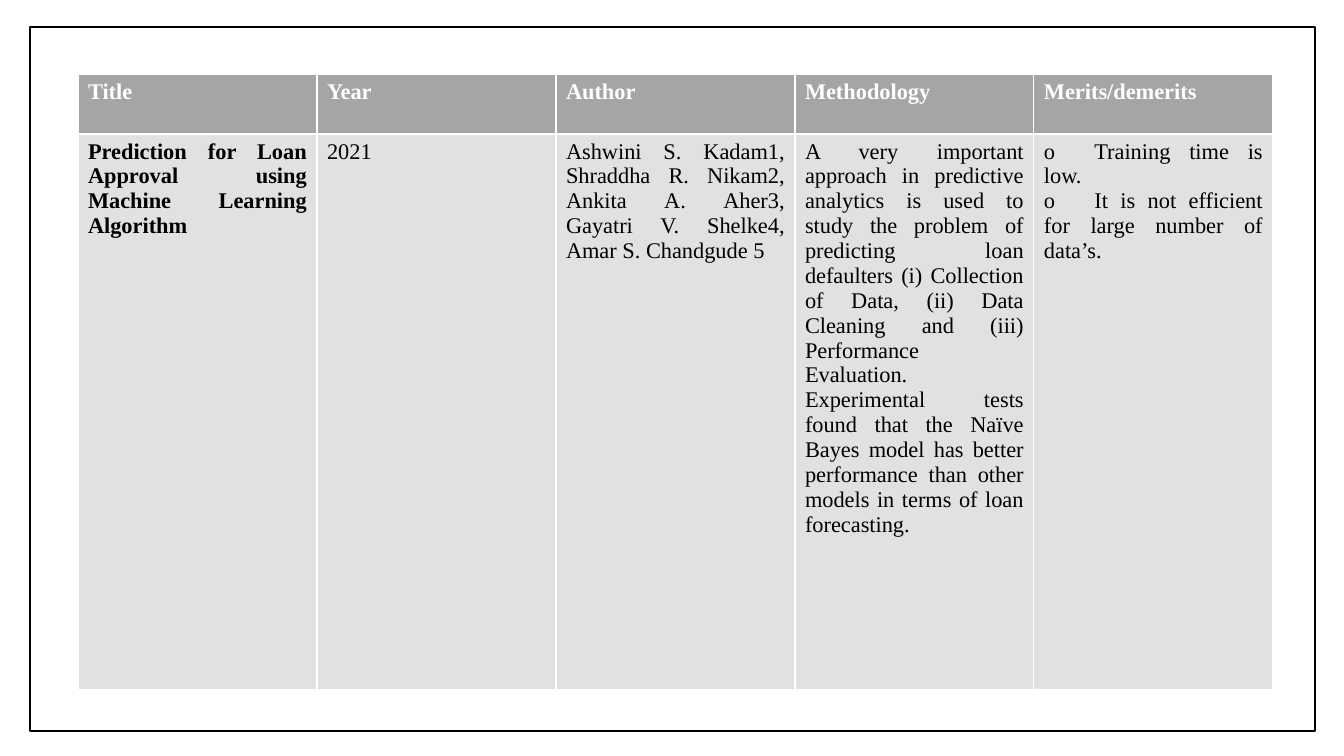
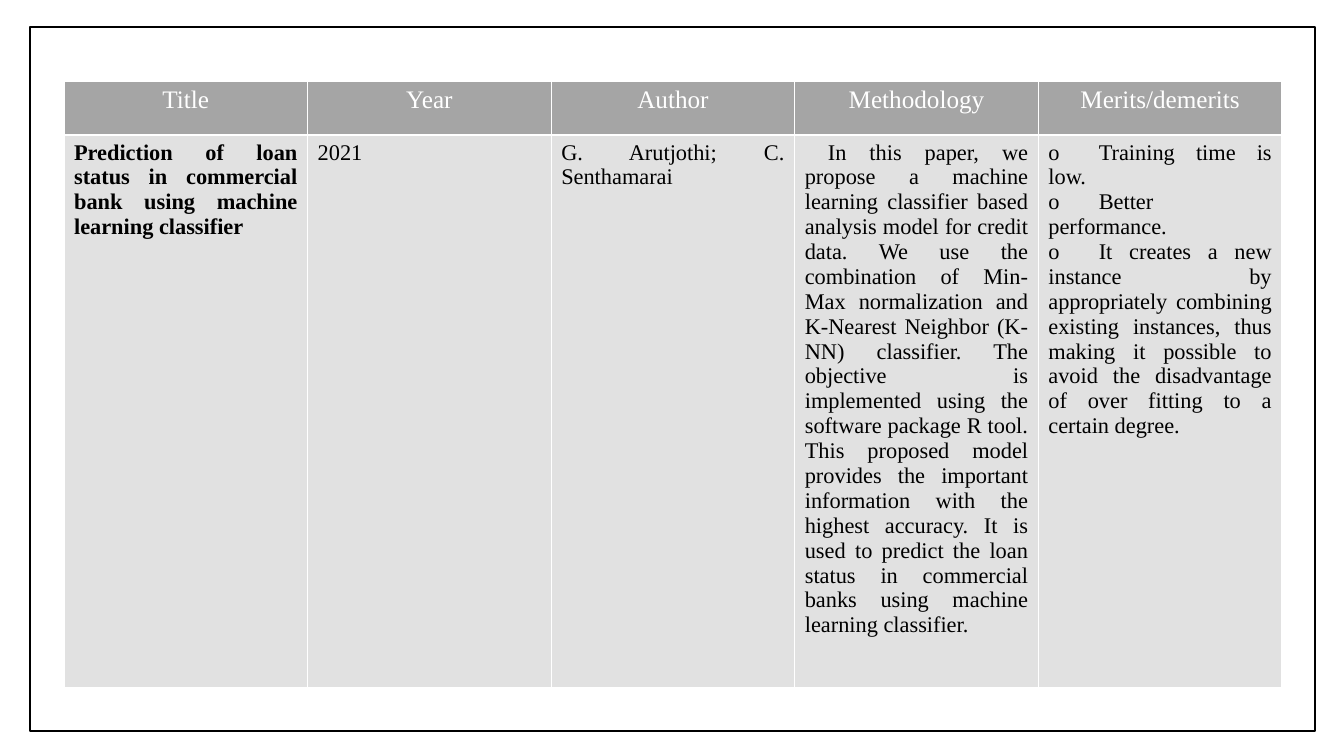
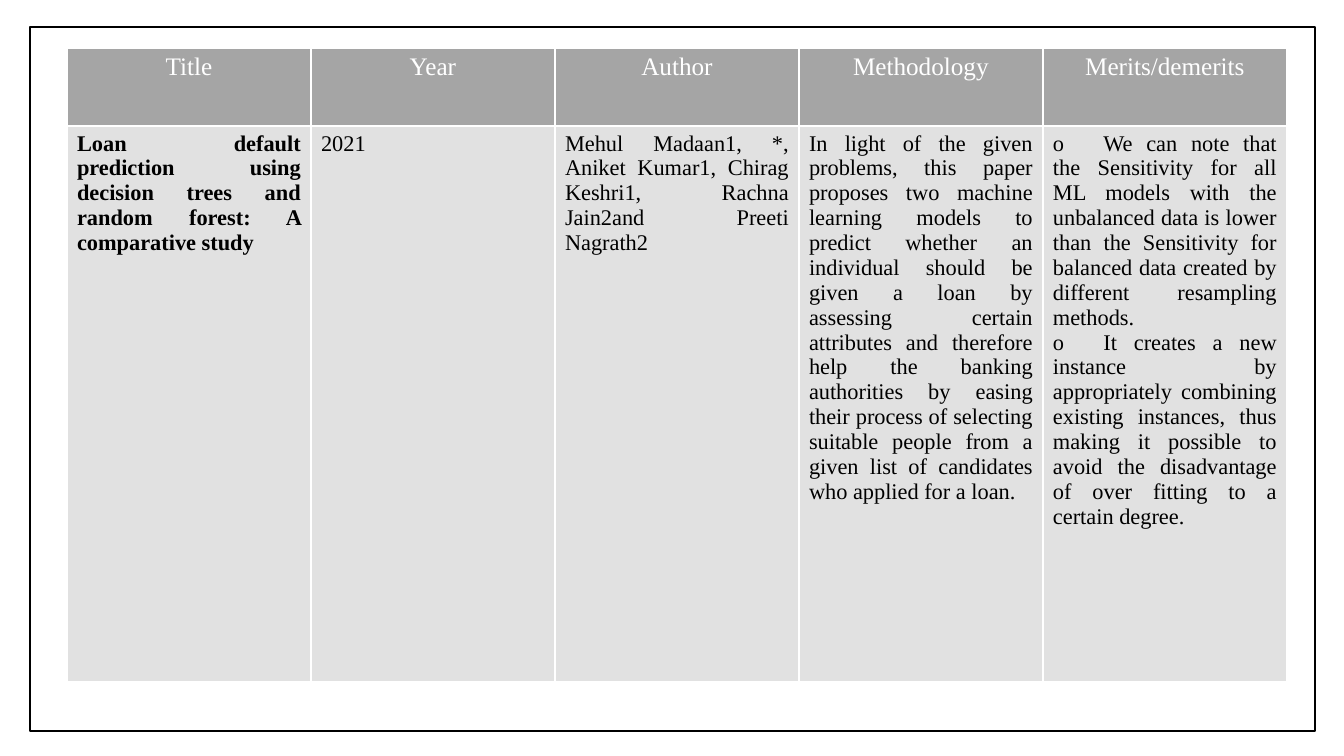
from lxml import etree
from pptx import Presentation
from pptx import util as u
from pptx.dml.color import RGBColor
from pptx.enum import shapes, text
from pptx.oxml.ns import qn

SCALE = 914400 / 100.8
FONT = "Times New Roman"
BLACK, WHITE, HEAD_FILL, BODY_FILL = "000000", "FFFFFF", "A5A5A5", "E1E1E1"
JUSTIFY, CENTER = text.PP_ALIGN.JUSTIFY, text.PP_ALIGN.CENTER
PAGE_SIZE = (1344, 756)
FRAME_BOX = (30, 27, 1285, 704)
HEADINGS = ["Title", "Year", "Author", "Methodology", "Merits/demerits"]
NEW_INSTANCE = (
    "It creates a new instance by appropriately combining existing instances, "
    "thus making it possible to avoid the disadvantage of over fitting to a "
    "certain degree."
)

PAPERS = [
    {
        "box": (78, 74, 1195, 616),
        "head_height": 60,
        "head_format": {"size": 16, "bold": True, "align": JUSTIFY},
        "title": "Prediction for Loan Approval using Machine Learning Algorithm",
        "year": "2021",
        "author": "Ashwini S. Kadam1, Shraddha R. Nikam2, Ankita A. Aher3, "
                  "Gayatri V. Shelke4, Amar S. Chandgude 5",
        "method": "A very important approach in predictive analytics is used to "
                  "study the problem of predicting loan defaulters (i) Collection "
                  "of Data, (ii) Data Cleaning and (iii) Performance Evaluation. "
                  "Experimental tests found that the Naïve Bayes model has better "
                  "performance than other models in terms of loan forecasting.",
        "merits": ["Training time is low.",
                   "It is not efficient for large number of data’s."],
    },
    {
        "box": (64, 81, 1218, 607),
        "head_height": 54,
        "head_format": {"size": 18, "align": CENTER},
        "title": "Prediction of loan status in commercial bank using machine "
                 "learning classifier",
        "year": "2021",
        "author": "G. Arutjothi; C. Senthamarai",
        "method": " In this paper, we propose a machine learning classifier based "
                  "analysis model for credit data. We use the combination of "
                  "Min-Max normalization and K-Nearest Neighbor (K-NN) classifier. "
                  "The objective is implemented using the software package R tool. "
                  "This proposed model provides the important information with the "
                  "highest accuracy. It is used to predict the loan status in "
                  "commercial banks using machine learning classifier.",
        "merits": ["Training time is low.", "Better performance.", NEW_INSTANCE],
    },
    {
        "box": (67, 48, 1220, 634),
        "head_height": 78,
        "head_format": {"size": 18, "align": CENTER},
        "title": "Loan default prediction using decision trees and random forest: "
                 "A comparative study",
        "year": "2021",
        "author": "Mehul Madaan1, *, Aniket Kumar1, Chirag Keshri1, Rachna "
                  "Jain2and Preeti Nagrath2",
        "method": "In light of the given problems, this paper proposes two machine "
                  "learning models to predict whether an individual should be given "
                  "a loan by assessing certain attributes and therefore help the "
                  "banking authorities by easing their process of selecting "
                  "suitable people from a given list of candidates who applied for "
                  "a loan.",
        "merits": ["We can note that the Sensitivity for all ML models with the "
                   "unbalanced data is lower than the Sensitivity for balanced data "
                   "created by different resampling methods.", NEW_INSTANCE],
    },
]


def px(length):
    return u.Emu(round(length * SCALE))


def color(value):
    return RGBColor.from_string(value)


def write(frame, lines, size=16, bold=False, ink=BLACK, align=JUSTIFY):
    for index, line in enumerate(lines):
        para = frame.add_paragraph() if index else frame.paragraphs[0]
        para.alignment = align
        span = para.add_run()
        span.text = line
        span.font.name = FONT
        span.font.size = u.Pt(size)
        span.font.bold = bold
        span.font.color.rgb = color(ink)


def add_borders(cell, ink=WHITE, width=1):
    properties = cell._tc.get_or_add_tcPr()
    for side in ("lnL", "lnR", "lnT", "lnB"):
        line = etree.SubElement(properties, qn("a:" + side), w=str(u.Pt(width)))
        fill = etree.SubElement(line, qn("a:solidFill"))
        etree.SubElement(fill, qn("a:srgbClr"), val=ink)


def fill_cell(cell, lines, fill, **style):
    add_borders(cell)
    cell.fill.solid()
    cell.fill.fore_color.rgb = color(fill)
    write(cell.text_frame, lines, **style)


def add_review(page, box, paper):
    left, top, width, height = box
    head_height = paper["head_height"]
    table = page.shapes.add_table(
        2, len(HEADINGS), px(left), px(top), px(width), px(height)).table
    table.horz_banding = False
    table.rows[0].height = px(head_height)
    table.rows[1].height = px(height - head_height)
    for column in table.columns:
        column.width = px(width / len(HEADINGS))
    merits = ["o\t" + merit for merit in paper["merits"]]
    body = [[paper[key]] for key in ("title", "year", "author", "method")] + [merits]
    for index, (heading, lines) in enumerate(zip(HEADINGS, body)):
        fill_cell(table.cell(0, index), [heading], HEAD_FILL,
                  ink=WHITE, **paper["head_format"])
        fill_cell(table.cell(1, index), lines, BODY_FILL, bold=index == 0)


def add_frame(page, box):
    frame = page.shapes.add_shape(shapes.MSO_SHAPE.RECTANGLE, *map(px, box))
    frame.shadow.inherit = False
    frame.fill.background()
    frame.line.color.rgb = color(BLACK)
    frame.line.width = u.Pt(1)


deck = Presentation()
deck.slide_width, deck.slide_height = map(px, PAGE_SIZE)
for paper in PAPERS:
    page = deck.slides.add_slide(deck.slide_layouts[6])
    add_review(page, paper["box"], paper)
    add_frame(page, FRAME_BOX)
deck.save("out.pptx")
